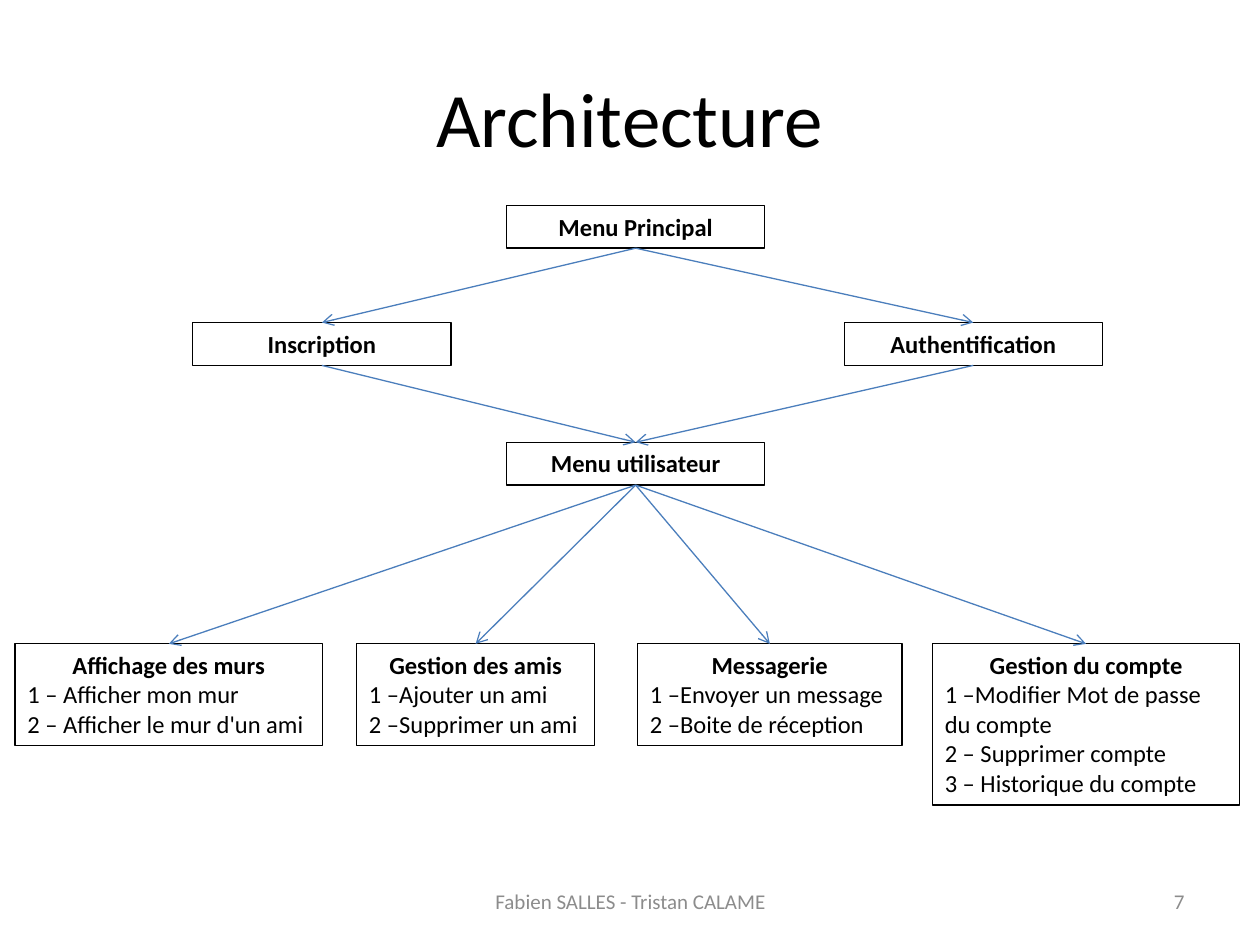
from pptx import Presentation
from pptx.dml.color import RGBColor
from pptx.enum import shapes, text
from pptx.oxml.ns import qn
from pptx.util import Inches, Pt
from lxml import etree

BLACK = RGBColor(0, 0, 0)
GREY = RGBColor(0x8C, 0x8C, 0x8C)
BLUE = RGBColor(0x4B, 0x7E, 0xBC)
FONT = "Calibri"
CENTER, LEFT, RIGHT = text.PP_ALIGN.CENTER, text.PP_ALIGN.LEFT, text.PP_ALIGN.RIGHT

MENU_W, MENU_H = 2.05, 0.34
LEAF_Y = 5.11

MENUS = [
    ("Menu Principal", 4.02, 1.63),
    ("Inscription", 1.53, 2.56),
    ("Authentification", 6.7, 2.56),
    ("Menu utilisateur", 4.02, 3.51),
]
LEAVES = [
    ("Affichage des murs", 0.12, 2.44, 0.81,
     ["1 – Afficher mon mur", "2 – Afficher le mur d'un ami"]),
    ("Gestion des amis", 2.83, 1.89, 0.81,
     ["1 –Ajouter un ami", "2 –Supprimer un ami"]),
    ("Messagerie", 5.06, 2.1, 0.81,
     ["1 –Envoyer un message", "2 –Boite de réception"]),
    ("Gestion du compte", 7.4, 2.44, 1.28,
     ["1 –Modifier Mot de passe du compte", "2 – Supprimer compte",
      "3 – Historique du compte"]),
]
LINKS = {
    "Menu Principal": ["Inscription", "Authentification"],
    "Inscription": ["Menu utilisateur"],
    "Authentification": ["Menu utilisateur"],
    "Menu utilisateur": [leaf[0] for leaf in LEAVES],
}
FOOTERS = [
    ("Fabien SALLES - Tristan CALAME", 3.42, 3.17, CENTER),
    ("7", 7.17, 2.33, RIGHT),
]


def style(p, size, color, align, bold=False):
    p.alignment = align
    f = p.font
    f.name, f.size, f.bold = FONT, Pt(size), bold
    f.color.rgb = color


def add_box(s, heading, x, y, w, h, items=()):
    sp = s.shapes.add_shape(shapes.MSO_SHAPE.RECTANGLE,
                            Inches(x), Inches(y), Inches(w), Inches(h))
    sp.shadow.inherit = False
    sp.fill.background()
    sp.line.color.rgb = BLACK
    sp.line.width = Pt(0.75)
    tf = sp.text_frame
    tf.word_wrap = True
    tf.auto_size = text.MSO_AUTO_SIZE.SHAPE_TO_FIT_TEXT
    tf.vertical_anchor = text.MSO_ANCHOR.TOP
    tf.text = "\n".join([heading, *items])
    for i, p in enumerate(tf.paragraphs):
        style(p, 14, BLACK, LEFT if i else CENTER, bold=i == 0)
    return sp


def add_arrow(s, start, end):
    c = s.shapes.add_connector(
        shapes.MSO_CONNECTOR.STRAIGHT,
        start.left + start.width // 2, start.top + start.height,
        end.left + end.width // 2, end.top)
    c.begin_connect(start, 2)
    c.end_connect(end, 0)
    c.line.color.rgb = BLUE
    c.line.width = Pt(0.75)
    etree.SubElement(c.line._get_or_add_ln(), qn("a:tailEnd"), type="arrow")
    etree.SubElement(c._element.spPr, qn("a:effectLst"))


prs = Presentation()
prs.slide_width, prs.slide_height = Inches(10), Inches(7.5)
s = prs.slides.add_slide(prs.slide_layouts[5])

title = s.shapes.title
title.left, title.top, title.width, title.height = map(Inches, (0.5, 0.3, 9, 1.25))
title.text_frame.text = "Architecture"
title.text_frame.vertical_anchor = text.MSO_ANCHOR.MIDDLE
style(title.text_frame.paragraphs[0], 44, BLACK, CENTER)

for words, x, w, align in FOOTERS:
    tf = s.shapes.add_textbox(Inches(x), Inches(6.95), Inches(w), Inches(0.4)).text_frame
    tf.word_wrap = True
    tf.vertical_anchor = text.MSO_ANCHOR.MIDDLE
    tf.text = words
    style(tf.paragraphs[0], 12, GREY, align)

boxes = {name: add_box(s, name, x, y, MENU_W, MENU_H) for name, x, y in MENUS}
for name, x, w, h, items in LEAVES:
    boxes[name] = add_box(s, name, x, LEAF_Y, w, h, items)

for start, ends in LINKS.items():
    for end in ends:
        add_arrow(s, boxes[start], boxes[end])

prs.save("out.pptx")
